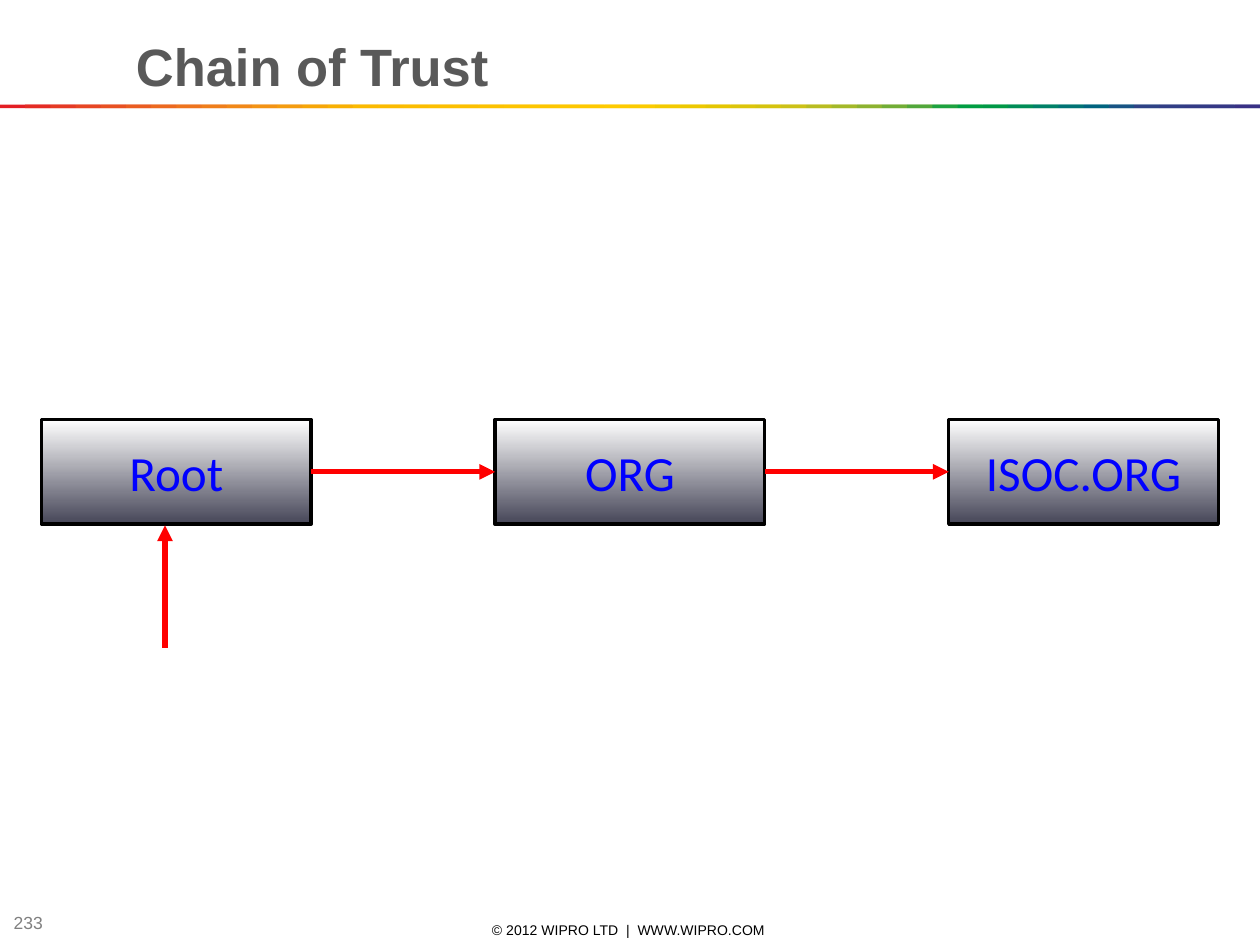
"""Build the Chain of Trust slide."""
from dataclasses import dataclass

from lxml.etree import SubElement
from pptx import Presentation
from pptx.dml.color import RGBColor
from pptx.enum.shapes import MSO_CONNECTOR, MSO_SHAPE
from pptx.enum.text import MSO_ANCHOR, PP_ALIGN
from pptx.oxml.ns import qn
from pptx.util import Inches, Pt

COLORS = {
    "title": "595959",
    "number": "808080",
    "black": "000000",
    "label": "0000FF",
    "arrow": "FF0000",
    "top": "FFFFFF",
    "bottom": "464658",
}
RAINBOW = """
E31E24 E42C24 E53A24 E74623 E85122 EA5D21 EC691F EE741D EF7E1A F18817
F39314 F49C0F F6A607 F8B002 FBBA00 FBBB00 FBBD00 FCBF00 FCC000 FCC200
FDC400 FDC600 FDC700 FEC900 FECB00 FBCB00 F3CA00 ECC800 E4C602 DCC50A
D5C30E CCC117 B8BC21 A3B829 8CB230 71AD36 51A73B 1DA240 009D43 009846
008C57 008068 007275 00637F 185384 2E4285 313E85 333B85 353885 393185
""".split()
PAGE_WIDTH, PAGE_HEIGHT = 10, 7.5
STRIPE_STEP = PAGE_WIDTH / len(RAINBOW)
NODE_LEFT, NODE_TOP, NODE_WIDTH, NODE_HEIGHT = 0.33, 3.33, 2.14, 0.83
NODE_STEP = 3.6
NODES = ("Root", "ORG", "ISOC.ORG")


@dataclass(frozen=True)
class Label:
    """Wording, place and format of a text."""

    text: str
    place: tuple[float, float, float, float]
    size: float
    color: str
    font: str = "Arial"
    bold: bool = False
    align: PP_ALIGN = PP_ALIGN.LEFT
    anchor: MSO_ANCHOR = MSO_ANCHOR.MIDDLE
    margin: float = 0.1


LABELS = (
    Label("© 2012 WIPRO LTD  |  WWW.WIPRO.COM ", (3.42, 7.3, 3.17, 0.16), 8, "black",
          align=PP_ALIGN.CENTER),
    Label("233", (0.01, 7.22, 0.75, 0.21), 10, "number"),
    Label("Chain of Trust", (0.98, 0.19, 8.05, 0.61), 30, "title", bold=True,
          anchor=MSO_ANCHOR.BOTTOM),
)


def rgb(name: str) -> RGBColor:
    """Return a named colour."""
    return RGBColor.from_string(COLORS[name])


def write_label(box, label: Label) -> None:
    """Write a formatted label into a box."""
    frame = box.text_frame
    settings = {
        "word_wrap": True,
        "vertical_anchor": label.anchor,
        "margin_left": Inches(label.margin),
        "margin_right": Inches(label.margin),
        "margin_top": Inches(0.03),
        "margin_bottom": Inches(0.03),
    }
    for key, value in settings.items():
        setattr(frame, key, value)
    para = frame.paragraphs[0]
    para.alignment = label.align
    span = para.add_run()
    span.text = label.text
    font_format = {"name": label.font, "size": Pt(label.size), "bold": label.bold}
    for key, value in font_format.items():
        setattr(span.font, key, value)
    span.font.color.rgb = rgb(label.color)


def add_rectangle(page, place: tuple[float, float, float, float]):
    """Add a rectangle without shadow."""
    box = page.shapes.add_shape(MSO_SHAPE.RECTANGLE, *map(Inches, place))
    box.shadow.inherit = False
    return box


def add_stripe(page, index: int, color: str) -> None:
    """Add one overlapping piece of the rainbow rule."""
    left = index * STRIPE_STEP
    width = min(2 * STRIPE_STEP, PAGE_WIDTH - left)
    box = add_rectangle(page, (left, 0.83, width, 0.03))
    box.fill.solid()
    box.fill.fore_color.rgb = RGBColor.from_string(color)
    box.line.fill.background()


def add_node(page, index: int, name: str):
    """Add one shaded link of the chain."""
    place = (NODE_LEFT + index * NODE_STEP, NODE_TOP, NODE_WIDTH, NODE_HEIGHT)
    box = add_rectangle(page, place)
    box.fill.gradient()
    box.fill.gradient_angle = 270
    for stop, color in zip(box.fill.gradient_stops, ("top", "bottom")):
        stop.color.rgb = rgb(color)
    box.line.color.rgb = rgb("black")
    box.line.width = Pt(2)
    write_label(box, Label(name, place, 28.1, "label", "Calibri",
                           align=PP_ALIGN.CENTER, margin=0))
    return box


def add_arrow(page, tip: tuple[float, float] = (0, 0), end: tuple[float, float] = (0, 0)):
    """Add a red line with its arrowhead at the tip."""
    arrow = page.shapes.add_connector(MSO_CONNECTOR.STRAIGHT, *map(Inches, tip + end))
    arrow.line.color.rgb = rgb("arrow")
    arrow.line.width = Pt(3)
    properties = arrow.line._get_or_add_ln()
    SubElement(properties, qn("a:headEnd"), type="triangle")
    SubElement(properties.getparent(), qn("a:effectLst"))
    return arrow


def main() -> None:
    """Draw and save the slide."""
    deck = Presentation()
    deck.slide_width, deck.slide_height = Inches(PAGE_WIDTH), Inches(PAGE_HEIGHT)
    page = deck.slides.add_slide(deck.slide_layouts[6])
    for index, color in enumerate(RAINBOW):
        add_stripe(page, index, color)
    for label in LABELS:
        write_label(page.shapes.add_textbox(*map(Inches, label.place)), label)
    nodes = [add_node(page, index, name) for index, name in enumerate(NODES)]
    for source, target in zip(nodes, nodes[1:]):
        arrow = add_arrow(page)
        arrow.begin_connect(target, 1)
        arrow.end_connect(source, 3)
    add_arrow(page, (1.31, 4.17), (1.31, 5.14))
    deck.save("out.pptx")


if __name__ == "__main__":
    main()
